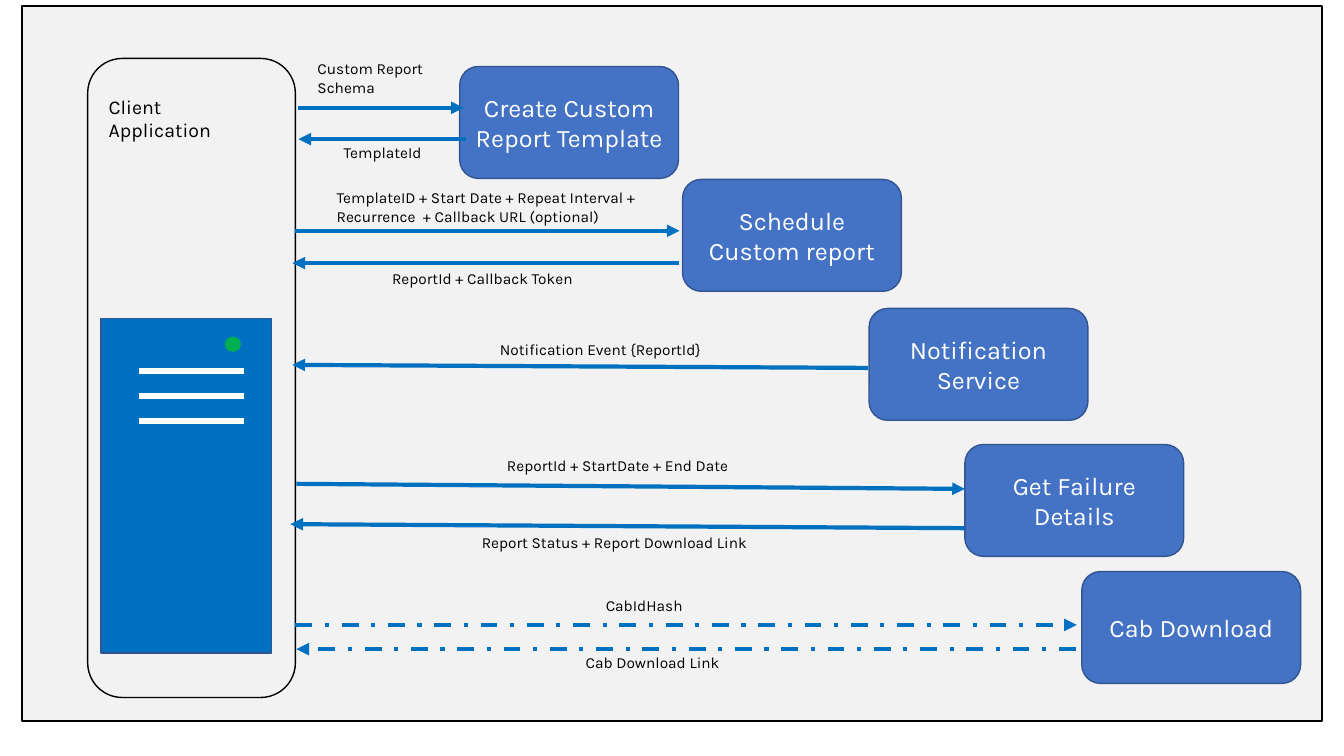
from dataclasses import dataclass

import lxml.etree
import pptx
import pptx.dml.color
import pptx.enum.dml
import pptx.enum.shapes
import pptx.enum.text
import pptx.oxml.ns
import pptx.shapes.autoshape
import pptx.shapes.connector
import pptx.slide
import pptx.text.text
import pptx.util

Inches = pptx.util.Inches
Pt = pptx.util.Pt
RGBColor = pptx.dml.color.RGBColor
Preset = pptx.enum.shapes.MSO_SHAPE
Align = pptx.enum.text.PP_ALIGN
Anchor = pptx.enum.text.MSO_ANCHOR
qn = pptx.oxml.ns.qn

BLACK = RGBColor(0x00, 0x00, 0x00)
WHITE = RGBColor(0xFF, 0xFF, 0xFF)
PANEL_GREY = RGBColor(0xF2, 0xF2, 0xF2)
SERVICE_BLUE = RGBColor(0x44, 0x72, 0xC4)
OUTLINE_BLUE = RGBColor(0x32, 0x54, 0x91)
FLOW_BLUE = RGBColor(0x00, 0x70, 0xC0)
LAMP_GREEN = RGBColor(0x00, 0xB0, 0x50)

FONT = "Karla"
SERVICE_WIDTH, SERVICE_HEIGHT = 2.17, 1.11

Point = tuple[float, float]
Box = tuple[float, float, float, float]


@dataclass(frozen=True)
class Message:
    """A labelled arrow between the client and a service."""
    text: str
    label: Box
    start: Point
    end: Point


@dataclass(frozen=True)
class Service:
    name: str
    corner: Point
    messages: tuple[Message, ...]
    dashed: bool = False


SERVICES = (
    Service("Create Custom Report Template", (4.56, 0.66), (
        Message("Custom Report Schema", (3.05, 0.54, 1.45, 0.48), (2.96, 1.07), (4.6, 1.07)),
        Message("TemplateId", (3.31, 1.37, 1.45, 0.29), (4.62, 1.38), (2.96, 1.38)),
    )),
    Service("Schedule Custom report", (6.77, 1.78), (
        Message("TemplateID + Start Date + Repeat Interval + Recurrence  + Callback URL (optional)",
                (3.24, 1.82, 3.37, 0.47), (2.93, 2.29), (6.74, 2.29)),
        Message("ReportId + Callback Token", (3.79, 2.62, 2.25, 0.29), (6.73, 2.61), (2.9, 2.61)),
    )),
    Service("Notification Service", (8.62, 3.06), (
        Message("Notification Event {ReportId}", (4.86, 3.32, 2.41, 0.29), (8.61, 3.65), (2.9, 3.62)),
    )),
    Service("Get Failure Details", (9.57, 4.41), (
        Message("ReportId + StartDate + End Date", (4.93, 4.48, 2.84, 0.29), (2.94, 4.8), (9.57, 4.85)),
        Message("Report Status + Report Download Link",
                (4.68, 5.24, 2.88, 0.29), (9.56, 5.24), (2.88, 5.2)),
    )),
    Service("Cab Download", (10.73, 5.67), (
        Message("CabIdHash", (5.91, 5.86, 1.02, 0.29), (2.93, 6.2), (10.68, 6.2)),
        Message("Cab Download Link", (5.71, 6.43, 1.81, 0.29), (10.67, 6.44), (2.94, 6.44)),
    ), dashed=True),
)


def write(frame: pptx.text.text.TextFrame, text: str, *, size: float,
          color: RGBColor = BLACK, align: Align = Align.LEFT,
          anchor: Anchor = Anchor.TOP) -> None:
    frame.word_wrap = True
    frame.vertical_anchor = anchor
    paragraph = frame.paragraphs[0]
    paragraph.alignment = align
    run = paragraph.add_run()
    run.text = text
    run.font.name = FONT
    run.font.size = Pt(size)
    run.font.color.rgb = color


def add_label(slide: pptx.slide.Slide, text: str, box: Box, size: float) -> None:
    label = slide.shapes.add_textbox(*map(Inches, box))
    write(label.text_frame, text, size=size)


def add_block(slide: pptx.slide.Slide, preset: Preset, box: Box, fill: RGBColor,
              outline: RGBColor | None = None, weight: float = 1) -> pptx.shapes.autoshape.Shape:
    block = slide.shapes.add_shape(preset, *map(Inches, box))
    block.shadow.inherit = False
    block.fill.solid()
    block.fill.fore_color.rgb = fill
    if outline is None:
        block.line.fill.background()
    else:
        block.line.color.rgb = outline
        block.line.width = Pt(weight)
    return block


def add_line(slide: pptx.slide.Slide, start: Point, end: Point, color: RGBColor,
             weight: float) -> pptx.shapes.connector.Connector:
    line = slide.shapes.add_connector(pptx.enum.shapes.MSO_CONNECTOR.STRAIGHT,
                                      *map(Inches, start + end))
    line.line.color.rgb = color
    line.line.width = Pt(weight)
    lxml.etree.SubElement(line._element.spPr, qn("a:effectLst"))
    return line


def add_arrow(slide: pptx.slide.Slide, start: Point, end: Point, dashed: bool) -> None:
    arrow = add_line(slide, start, end, FLOW_BLUE, 3)
    if dashed:
        arrow.line.dash_style = pptx.enum.dml.MSO_LINE.DASH_DOT
    outline = arrow._element.spPr.find(qn("a:ln"))
    lxml.etree.SubElement(outline, qn("a:tailEnd"), type="triangle")


def add_client(slide: pptx.slide.Slide) -> None:
    """Draw the client frame with its caption and server."""
    add_block(slide, Preset.ROUNDED_RECTANGLE, (0.87, 0.58, 2.06, 6.34), PANEL_GREY, BLACK)
    add_block(slide, Preset.RECTANGLE, (1, 3.16, 1.69, 3.32), FLOW_BLUE, OUTLINE_BLUE)
    for slot in range(3):
        y = 3.68 + 0.25 * slot
        add_line(slide, (1.38, y), (2.42, y), WHITE, 4.5)
    add_block(slide, Preset.OVAL, (2.23, 3.34, 0.16, 0.15), LAMP_GREEN)
    add_label(slide, "Client Application", (0.98, 0.89, 1.77, 0.34), 14)


def add_service(slide: pptx.slide.Slide, service: Service) -> None:
    block = add_block(slide, Preset.ROUNDED_RECTANGLE,
                      (*service.corner, SERVICE_WIDTH, SERVICE_HEIGHT),
                      SERVICE_BLUE, OUTLINE_BLUE)
    write(block.text_frame, service.name, size=18, color=WHITE,
          align=Align.CENTER, anchor=Anchor.MIDDLE)
    for message in service.messages:
        add_arrow(slide, message.start, message.end, service.dashed)
        add_label(slide, message.text, message.label, 11)


def main() -> None:
    deck = pptx.Presentation()
    deck.slide_width, deck.slide_height = Inches(13.33), Inches(7.5)
    slide = deck.slides.add_slide(deck.slide_layouts[6])
    add_block(slide, Preset.RECTANGLE, (0.22, 0.06, 12.89, 7.09), PANEL_GREY, BLACK, 1.5)
    add_client(slide)
    for service in SERVICES:
        add_service(slide, service)
    deck.save("out.pptx")


if __name__ == "__main__":
    main()
